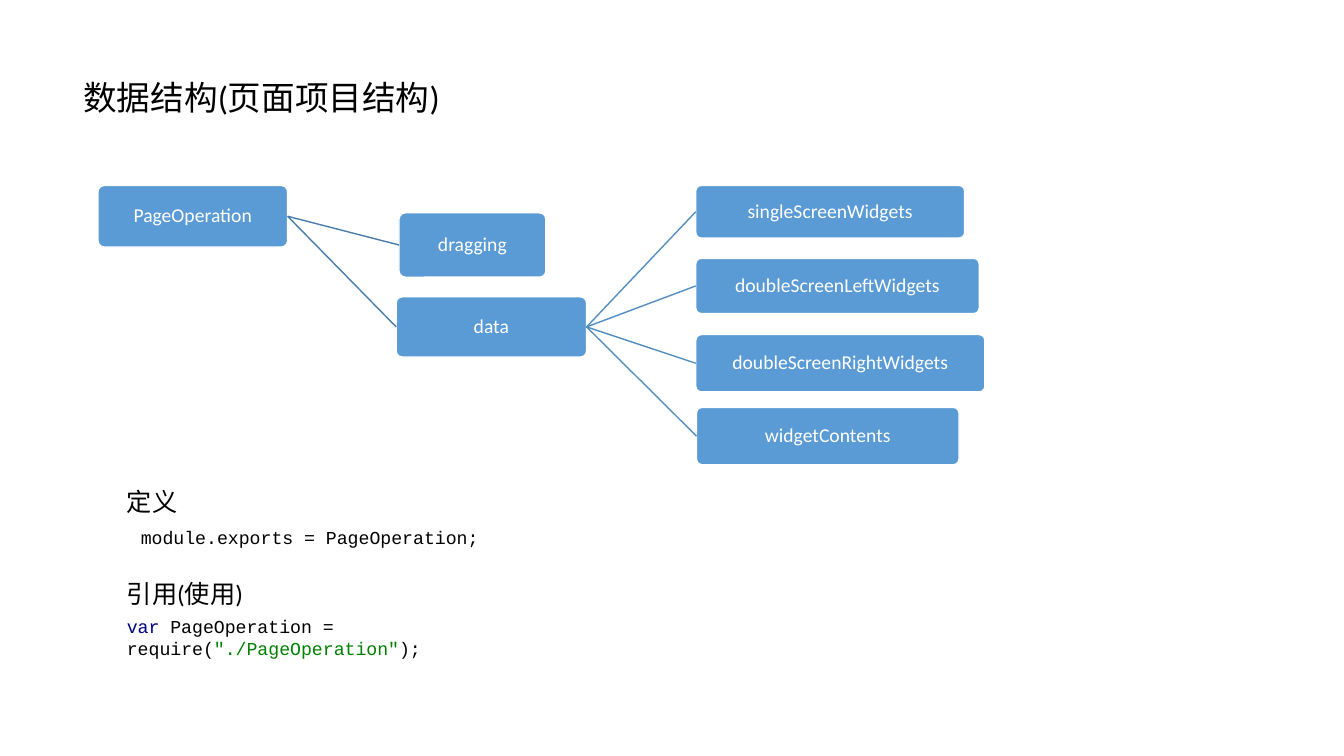
"""Build the page project data structure slide."""
from lxml.etree import SubElement
from pptx import Presentation
from pptx.dml.color import RGBColor
from pptx.enum.shapes import MSO_CONNECTOR, MSO_SHAPE
from pptx.enum.text import MSO_ANCHOR, PP_ALIGN
from pptx.oxml.ns import qn
from pptx.util import Pt

BLACK = RGBColor(0x00, 0x00, 0x00)
WHITE = RGBColor(0xFF, 0xFF, 0xFF)
NODE_BLUE = RGBColor(0x5B, 0x9B, 0xD5)
ROOT_LINK = RGBColor(0x49, 0x7C, 0xAB)
DATA_LINK = RGBColor(0x53, 0x8D, 0xC1)
KEYWORD = RGBColor(0x00, 0x00, 0x80)
STRING = RGBColor(0x00, 0x80, 0x00)

presentation = Presentation()
presentation.slide_width = Pt(960)
presentation.slide_height = Pt(540)
slide = presentation.slides.add_slide(presentation.slide_layouts[6])


def write(paragraph, pieces, size, font_name="Calibri"):
    for words, color in pieces:
        run = paragraph.add_run()
        run.text = words
        run.font.name = font_name
        run.font.size = Pt(size)
        run.font.color.rgb = color


headings = [
    ("数据结构(页面项目结构)", 24, 52.5, 40, 828, 59, MSO_ANCHOR.MIDDLE),
    ("定义", 18, 83.5, 344, 575, 29, MSO_ANCHOR.TOP),
    ("引用(使用)", 18, 83.5, 409.5, 121, 29, MSO_ANCHOR.TOP),
]
for words, size, left, top, width, height, anchor in headings:
    heading = slide.shapes.add_textbox(Pt(left), Pt(top), Pt(width), Pt(height))
    heading.text_frame.word_wrap = True
    heading.text_frame.vertical_anchor = anchor
    write(heading.text_frame.paragraphs[0], [(words, BLACK)], size)

tree = [
    ("PageOperation", 70, 132.5, 135.5, 44),
    ("dragging", 285, 152, 105, 46),
    ("data", 283, 212, 136, 43),
    ("singleScreenWidgets", 497, 132.5, 192, 37.5),
    ("doubleScreenLeftWidgets", 497, 184.5, 202.5, 39.5),
    ("doubleScreenRightWidgets", 497, 239, 206.5, 41),
    ("widgetContents", 497.5, 291, 187.5, 41),
]
nodes = {}
for label, left, top, width, height in tree:
    node = slide.shapes.add_shape(
        MSO_SHAPE.ROUNDED_RECTANGLE, Pt(left), Pt(top), Pt(width), Pt(height))
    node.adjustments[0] = 0.1
    node.shadow.inherit = False
    node.fill.solid()
    node.fill.fore_color.rgb = NODE_BLUE
    node.line.color.rgb = WHITE
    node.line.width = Pt(1)
    frame = node.text_frame
    frame.vertical_anchor = MSO_ANCHOR.MIDDLE
    frame.margin_left = frame.margin_right = Pt(1)
    frame.margin_top = frame.margin_bottom = Pt(1)
    paragraph = frame.paragraphs[0]
    paragraph.alignment = PP_ALIGN.CENTER
    paragraph.line_spacing = 0.9
    write(paragraph, [(label, WHITE)], 14)
    nodes[label] = node

labels = list(nodes)
branches = [
    ("PageOperation", labels[1:3], ROOT_LINK),
    ("data", labels[3:], DATA_LINK),
]
for parent, children, color in branches:
    for child in children:
        link = slide.shapes.add_connector(MSO_CONNECTOR.STRAIGHT, 0, 0, 0, 0)
        link.begin_connect(nodes[parent], 3)
        link.end_connect(nodes[child], 1)
        link.line.color.rgb = color
        link.line.width = Pt(1)
        SubElement(link._element.spPr, qn("a:effectLst"))

snippets = [
    (93.5, 372, 829, [("module.exports = PageOperation;", BLACK)]),
    (83.5, 443.5, 353, [
        ("var ", KEYWORD),
        ("PageOperation = require(", BLACK),
        ('"./PageOperation"', STRING),
        (");", BLACK),
    ]),
]
for left, top, width, pieces in snippets:
    code = slide.shapes.add_shape(
        MSO_SHAPE.RECTANGLE, Pt(left), Pt(top), Pt(width), Pt(23))
    code.shadow.inherit = False
    code.fill.solid()
    code.fill.fore_color.rgb = WHITE
    code.line.fill.background()
    code.text_frame.word_wrap = True
    code.text_frame.vertical_anchor = MSO_ANCHOR.MIDDLE
    paragraph = code.text_frame.paragraphs[0]
    paragraph.alignment = PP_ALIGN.LEFT
    write(paragraph, pieces, 13, "Courier New")

presentation.save("out.pptx")
